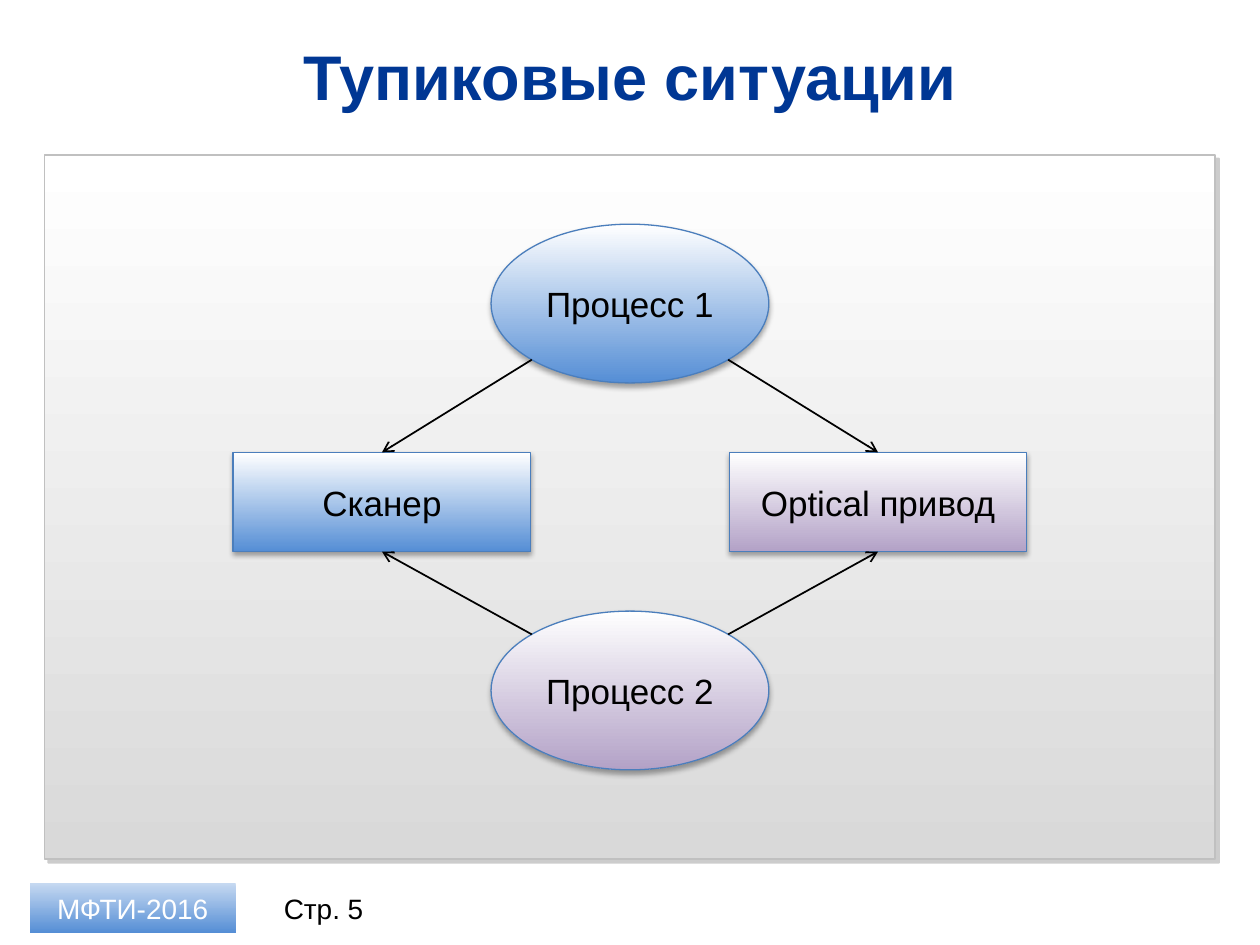
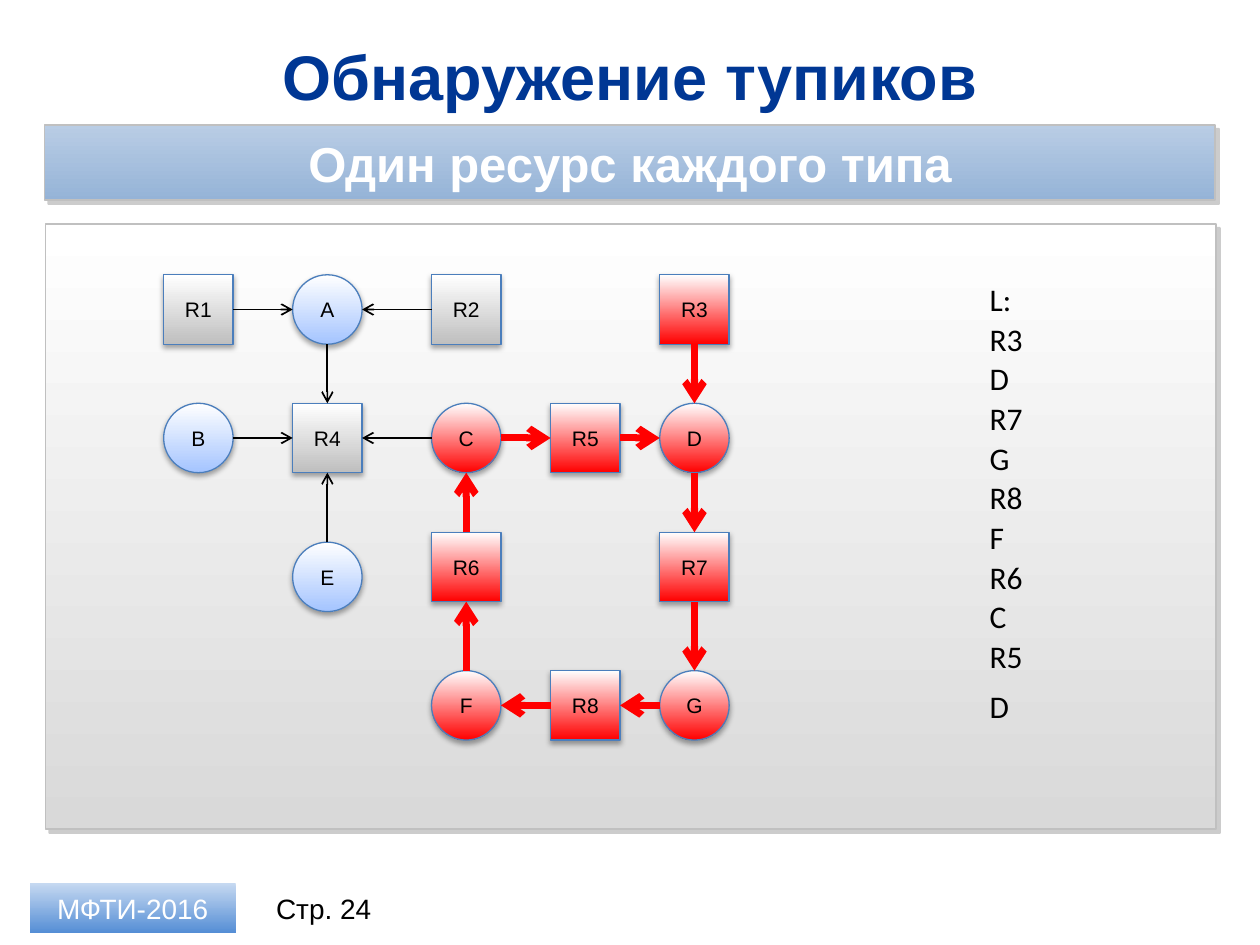
import itertools
import math

import lxml.etree
import pptx
import pptx.dml.color
import pptx.enum.shapes
import pptx.enum.text
import pptx.oxml.ns
import pptx.util

Cm = pptx.util.Cm
Pt = pptx.util.Pt
RGBColor = pptx.dml.color.RGBColor
qn = pptx.oxml.ns.qn
RECTANGLE = pptx.enum.shapes.MSO_SHAPE.RECTANGLE
OVAL = pptx.enum.shapes.MSO_SHAPE.OVAL
CENTER = pptx.enum.text.PP_ALIGN.CENTER
LEFT = pptx.enum.text.PP_ALIGN.LEFT
MIDDLE = pptx.enum.text.MSO_ANCHOR.MIDDLE
TOP = pptx.enum.text.MSO_ANCHOR.TOP

BLACK = RGBColor(0x00, 0x00, 0x00)
WHITE = RGBColor(0xFF, 0xFF, 0xFF)
RED = RGBColor(0xFF, 0x00, 0x00)
NAVY = RGBColor(0x00, 0x37, 0x94)
BLUE = RGBColor(0x55, 0x8E, 0xD5)
PALE_BLUE = RGBColor(0xC6, 0xD9, 0xF1)
PURPLE = RGBColor(0xB3, 0xA2, 0xC7)
PROCESS_BLUE = RGBColor(0xA4, 0xC4, 0xFF)
RESOURCE_GRAY = RGBColor(0xBF, 0xBF, 0xBF)
PANEL_GRAY = RGBColor(0xD9, 0xD9, 0xD9)
BAND_TOP = RGBColor(0xB9, 0xCD, 0xE5)
BAND_BOTTOM = RGBColor(0x95, 0xB3, 0xD7)
FRAME_LINE = RGBColor(0xC0, 0xC0, 0xC0)
NODE_LINE = RGBColor(0x4B, 0x7E, 0xBC)
SHADOW_GRAY = RGBColor(0x80, 0x80, 0x80)

FRAME_STYLE = dict(outline=FRAME_LINE, line_width=1, shadow=(SHADOW_GRAY, 40, 0, 3, 45))
NODE_STYLE = dict(outline=NODE_LINE, line_width=0.75, shadow=(BLACK, 35, 3.1, 1.8, 90))

FRAME_LEFT, FRAME_WIDTH = 0.9, 23.6
NODE_SIZE = 1.4
COLUMNS = [3.3, 5.9, 8.7, 11.1, 13.3]
ROWS = [5.54, 8.13, 10.73, 13.52]
PLACES = {
    "R1": (0, 0), "A": (1, 0), "R2": (2, 0), "R3": (4, 0),
    "B": (0, 1), "R4": (1, 1), "C": (2, 1), "R5": (3, 1), "D": (4, 1),
    "E": (1, 2), "R6": (2, 2), "R7": (4, 2),
    "F": (2, 3), "R8": (3, 3), "G": (4, 3),
}
REQUESTS = [("R1", "A"), ("R2", "A"), ("A", "R4"), ("B", "R4"), ("C", "R4"), ("E", "R4")]
CYCLE = ["R3", "D", "R7", "G", "R8", "F", "R6", "C", "R5", "D"]


def write(box, text, size=16, color=BLACK, bold=False, font="Arial", align=CENTER, anchor=MIDDLE):
    frame = box.text_frame
    frame.word_wrap = True
    frame.vertical_anchor = anchor
    para = frame.paragraphs[0]
    para.alignment = align
    span = para.add_run()
    span.text = text
    span.font.name = font
    span.font.size = Pt(size)
    span.font.bold = bold
    span.font.color.rgb = color


def add_text(page, text, left, top, width, height, **style):
    box = page.shapes.add_textbox(Cm(left), Cm(top), Cm(width), Cm(height))
    write(box, text, **style)


def add_shadow(shape, color, opacity, blur, distance, angle):
    effects = shape._element.spPr.find(qn("a:effectLst"))
    outer = lxml.etree.SubElement(
        effects, qn("a:outerShdw"), blurRad=str(Pt(blur)), dist=str(Pt(distance)),
        dir=str(angle * 60000), algn="ctr", rotWithShape="0")
    tint = lxml.etree.SubElement(outer, qn("a:srgbClr"), val=str(color))
    lxml.etree.SubElement(tint, qn("a:alpha"), val=str(opacity * 1000))


def add_block(page, kind, left, top, width, height, upper, lower,
              outline=None, line_width=1, shadow=None):
    shape = page.shapes.add_shape(kind, Cm(left), Cm(top), Cm(width), Cm(height))
    shape.fill.gradient()
    shape.fill.gradient_angle = 270
    for stop, color in zip(shape.fill.gradient_stops, (upper, lower)):
        stop.color.rgb = color
    shape.shadow.inherit = False
    if outline is None:
        shape.line.fill.background()
    else:
        shape.line.color.rgb = outline
        shape.line.width = Pt(line_width)
    if shadow:
        add_shadow(shape, *shadow)
    return shape


def add_node(page, text, kind, left, top, width, height, color, size):
    node = add_block(page, kind, left, top, width, height, WHITE, color, **NODE_STYLE)
    write(node, text, size=size)
    return node


def add_arrow(page, start, end, color=BLACK, width=1):
    arrow = page.shapes.add_connector(pptx.enum.shapes.MSO_CONNECTOR.STRAIGHT, *start, *end)
    arrow.line.color.rgb = color
    arrow.line.width = Pt(width)
    lxml.etree.SubElement(arrow.line._get_or_add_ln(), qn("a:tailEnd"), type="arrow")
    lxml.etree.SubElement(arrow._element.spPr, qn("a:effectLst"))


def edge_point(shape, across, down):
    return (int(shape.left + shape.width * (1 + across) / 2),
            int(shape.top + shape.height * (1 + down) / 2))


def link_nodes(page, source, target, **style):
    if source.top == target.top:
        across, down = (1 if target.left > source.left else -1), 0
    else:
        across, down = 0, (1 if target.top > source.top else -1)
    add_arrow(page, edge_point(source, across, down), edge_point(target, -across, -down), **style)


def add_page(deck, title, number, panel_left, panel_top, panel_height):
    page = deck.slides.add_slide(deck.slide_layouts[6])
    add_text(page, title, FRAME_LEFT, 0.65, FRAME_WIDTH, 1.73, size=36, color=NAVY, bold=True)
    add_text(page, f"Стр. {number}", 5.15, 17.8, 2.75, 1.02)
    badge = add_block(page, RECTANGLE, 0.6, 17.8, 4.15, 1.01, PALE_BLUE, BLUE)
    write(badge, "МФТИ-2016", color=WHITE)
    add_block(page, RECTANGLE, panel_left, panel_top, FRAME_WIDTH, panel_height,
              WHITE, PANEL_GRAY, **FRAME_STYLE)
    return page


def build_deadlock(deck):
    page = add_page(deck, "Тупиковые ситуации", 5, FRAME_LEFT, 3.12, 14.2)
    devices = [
        add_node(page, text, RECTANGLE, left, 9.12, 6, 2, color, 20)
        for text, left, color in (("Сканер", 4.7, BLUE), ("Optical привод", 14.7, PURPLE))
    ]
    diagonal = math.sqrt(0.5)
    for text, top, color, down in (("Процесс 1", 4.52, BLUE, 1), ("Процесс 2", 12.32, PURPLE, -1)):
        process = add_node(page, text, OVAL, 9.9, top, 5.6, 3.2, color, 20)
        for device, across in zip(devices, (-1, 1)):
            add_arrow(page, edge_point(process, across * diagonal, down * diagonal),
                      edge_point(device, 0, -down))


def build_detection(deck):
    page = add_page(deck, "Обнаружение тупиков", 24, 0.92, 4.52, 12.2)
    band = add_block(page, RECTANGLE, FRAME_LEFT, 2.52, FRAME_WIDTH, 1.52,
                     BAND_TOP, BAND_BOTTOM, **FRAME_STYLE)
    write(band, "Один ресурс каждого типа", size=28, color=WHITE, bold=True)

    nodes = {}
    for name, (column, row) in PLACES.items():
        is_resource = name.startswith("R")
        color = RESOURCE_GRAY if is_resource else PROCESS_BLUE
        top = ROWS[row] + (0.2 if name == "E" else 0)
        nodes[name] = add_node(page, name, RECTANGLE if is_resource else OVAL,
                               COLUMNS[column], top, NODE_SIZE, NODE_SIZE,
                               RED if name in CYCLE else color, 12)
    for source, target in REQUESTS:
        link_nodes(page, nodes[source], nodes[target])
    for source, target in itertools.pairwise(CYCLE):
        link_nodes(page, nodes[source], nodes[target], color=RED, width=4)

    visited = ["L:"] + CYCLE
    for index, name in enumerate(visited):
        top = 13.72 if index == len(visited) - 1 else 5.52 + 0.8 * index
        add_text(page, name, 19.7, top, 1.5 * len(name), 1.02,
                 size=18, font="Calibri", align=LEFT, anchor=TOP)


def main():
    deck = pptx.Presentation()
    deck.slide_width = Cm(25.4)
    deck.slide_height = Cm(19.05)
    build_deadlock(deck)
    build_detection(deck)
    deck.save("out.pptx")


if __name__ == "__main__":
    main()
